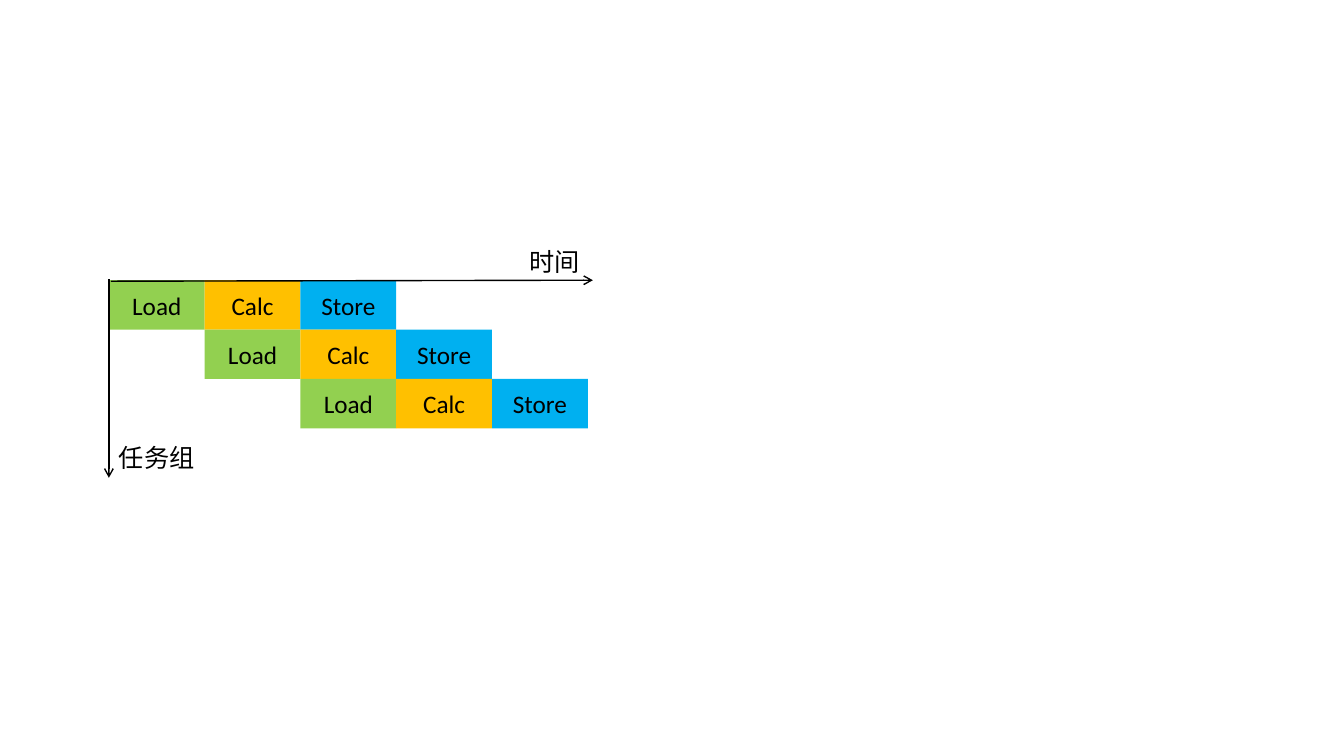
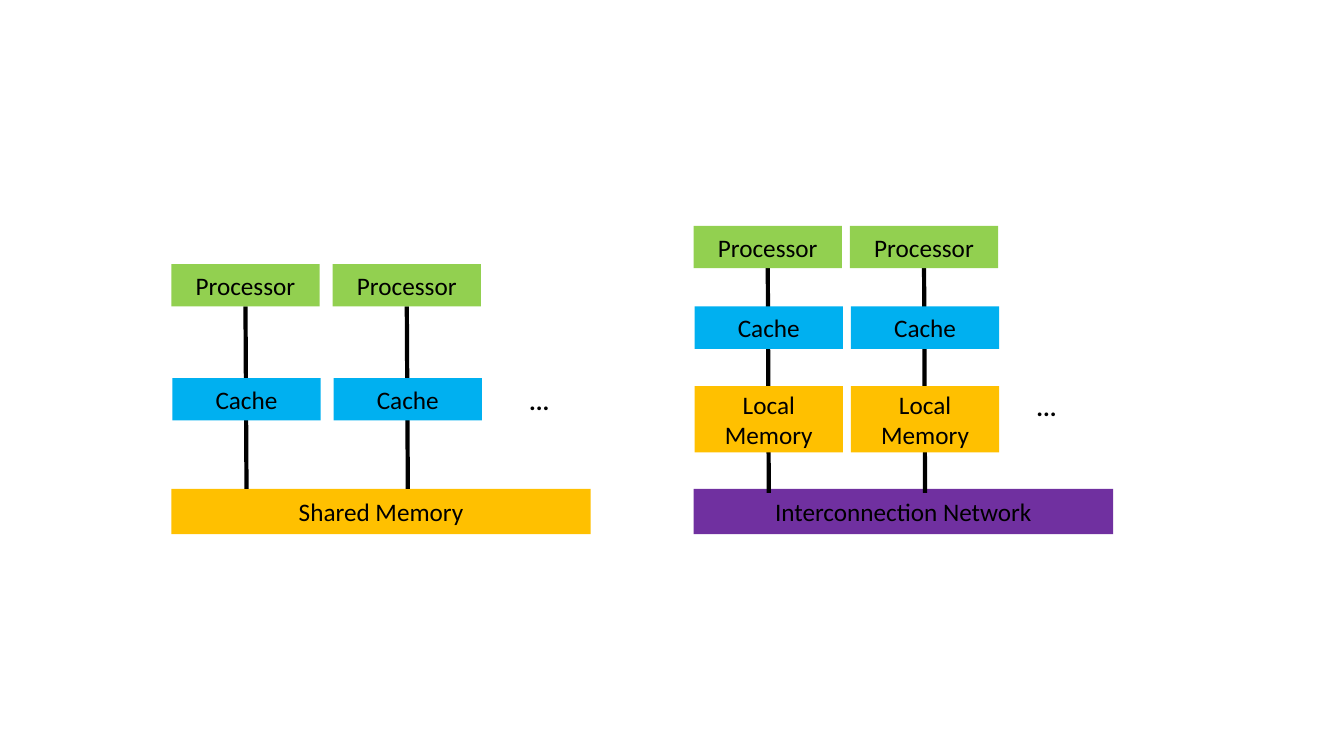
from lxml.etree import SubElement
from pptx import Presentation
from pptx.dml.color import RGBColor
from pptx.enum.shapes import MSO_CONNECTOR, MSO_SHAPE
from pptx.enum.text import MSO_ANCHOR, MSO_AUTO_SIZE, PP_ALIGN
from pptx.oxml.ns import qn
from pptx.util import Inches, Pt

GREEN = RGBColor(0x92, 0xD0, 0x50)
AMBER = RGBColor(0xFF, 0xC0, 0x00)
BLUE = RGBColor(0x00, 0xB0, 0xF0)
PURPLE = RGBColor(0x70, 0x30, 0xA0)
BLACK = RGBColor(0x00, 0x00, 0x00)
FONT = "Calibri"
FONT_SIZE = Pt(18)
BLANK_LAYOUT = 6

STAGES = [("Load", GREEN), ("Calc", AMBER), ("Store", BLUE)]
STAGE_WIDTH, STAGE_HEIGHT = 0.95, 0.49
UNIT_WIDTH, UNIT_HEIGHT = 1.47, 0.42
BASE_TOP, BASE_WIDTH, BASE_HEIGHT = 4.85, 4.16, 0.45


def write_text(text_frame, text, alignment, bold=False):
    text_frame.text = text
    for paragraph in text_frame.paragraphs:
        paragraph.alignment = alignment
        paragraph.font.name = FONT
        paragraph.font.size = FONT_SIZE
        paragraph.font.bold = bold
        paragraph.font.color.rgb = BLACK


def add_box(shapes, text, color, left, top, width, height):
    box = shapes.add_shape(MSO_SHAPE.RECTANGLE, Inches(left), Inches(top),
                           Inches(width), Inches(height))
    box.shadow.inherit = False
    box.fill.solid()
    box.fill.fore_color.rgb = color
    box.line.fill.background()
    box.text_frame.vertical_anchor = MSO_ANCHOR.MIDDLE
    write_text(box.text_frame, text, PP_ALIGN.CENTER)


def add_label(shapes, text, left, top, width, bold=False):
    label = shapes.add_textbox(Inches(left), Inches(top), Inches(width), Inches(0.4))
    label.text_frame.word_wrap = True
    label.text_frame.auto_size = MSO_AUTO_SIZE.SHAPE_TO_FIT_TEXT
    write_text(label.text_frame, text, PP_ALIGN.LEFT, bold)


def add_line(shapes, start, end, width, arrow=False):
    points = [Inches(value) for value in (*start, *end)]
    line = shapes.add_connector(MSO_CONNECTOR.STRAIGHT, *points)
    line.line.color.rgb = BLACK
    line.line.width = Pt(width)
    if arrow:
        SubElement(line.line._get_or_add_ln(), qn("a:tailEnd"), type="arrow")
    SubElement(line._element.spPr, qn("a:effectLst"))


def add_architecture(shapes, base, left, pitch, levels, line_end):
    """Draw two linked columns of units on a base; levels hold text, color, top, height, shift."""
    add_box(shapes, *base, left, BASE_TOP, BASE_WIDTH, BASE_HEIGHT)
    line_top = levels[0][2] + UNIT_HEIGHT
    for column in range(2):
        column_left = left + column * pitch
        center = column_left + UNIT_WIDTH / 2
        add_line(shapes, (center, line_top), (center + 0.01, line_end), 3)
        for text, color, top, height, shift in levels:
            add_box(shapes, text, color, column_left + shift, top, UNIT_WIDTH, height)


def build_pipeline(slide):
    left, top = 1.08, 2.78
    group = slide.shapes.add_group_shape()
    for row in range(3):
        for column, (text, color) in enumerate(STAGES, start=row):
            add_box(group.shapes, text, color, left + column * STAGE_WIDTH,
                    top + row * STAGE_HEIGHT, STAGE_WIDTH, STAGE_HEIGHT)
    add_line(slide.shapes, (1.1, 2.79), (5.88, 2.78), 1, arrow=True)
    add_line(slide.shapes, (left, 2.77), (left, 4.74), 1, arrow=True)
    add_label(slide.shapes, "时间", 5.15, 2.39, 0.81)
    add_label(slide.shapes, "任务组", left, 4.34, 1.08)


def build_memory_architectures(slide):
    shapes = slide.shapes
    add_architecture(shapes, ("Shared Memory", AMBER), 1.7, 1.6, [
        ("Processor", GREEN, 2.62, UNIT_HEIGHT, 0),
        ("Cache", BLUE, 3.75, UNIT_HEIGHT, 0.01),
    ], BASE_TOP)
    add_label(shapes, "...", 5.15, 3.77, 0.58, bold=True)
    add_architecture(shapes, ("Interconnection Network", PURPLE), 6.88, 1.55, [
        ("Processor", GREEN, 2.24, UNIT_HEIGHT, 0),
        ("Cache", BLUE, 3.04, UNIT_HEIGHT, 0.01),
        ("Local\nMemory", AMBER, 3.83, 0.66, 0.01),
    ], 4.89)
    add_label(shapes, "...", 10.18, 3.83, 0.58, bold=True)


def main():
    presentation = Presentation()
    presentation.slide_width = Inches(13.33)
    presentation.slide_height = Inches(7.5)
    for build in (build_pipeline, build_memory_architectures):
        build(presentation.slides.add_slide(presentation.slide_layouts[BLANK_LAYOUT]))
    presentation.save("out.pptx")


if __name__ == "__main__":
    main()
